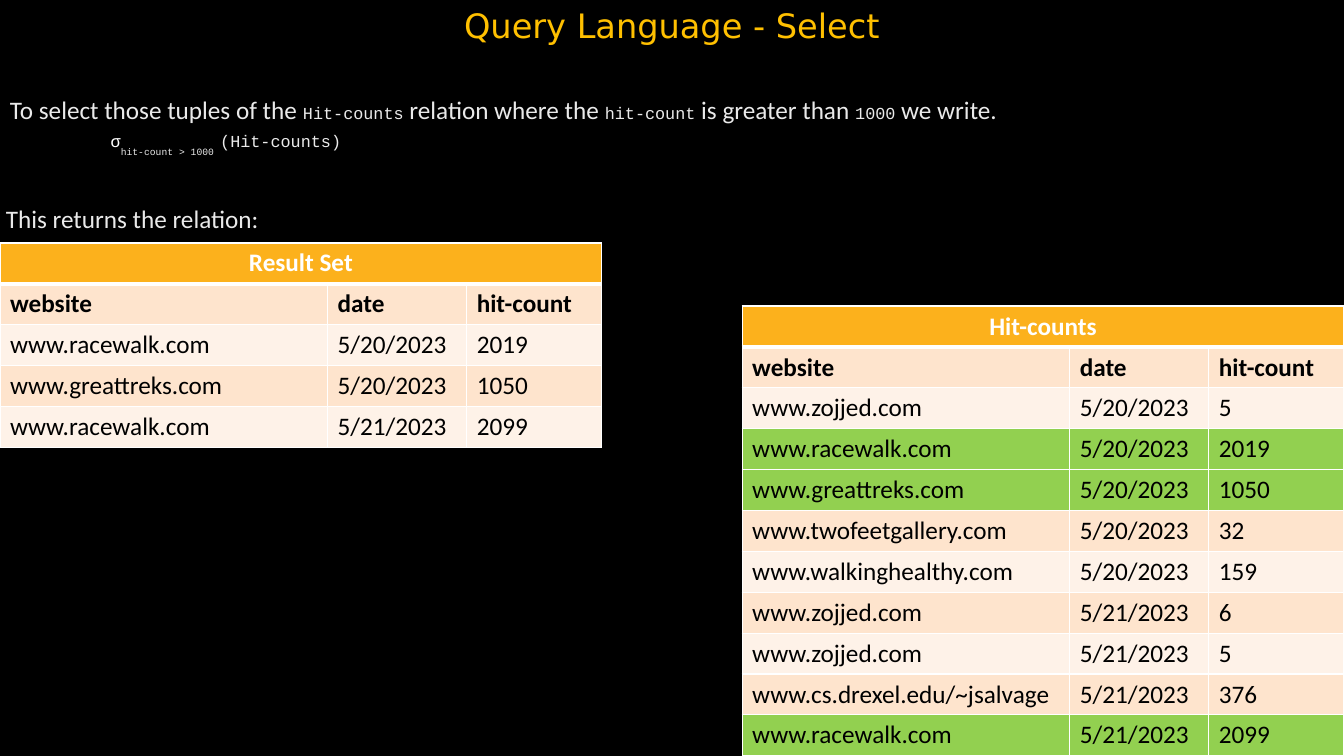
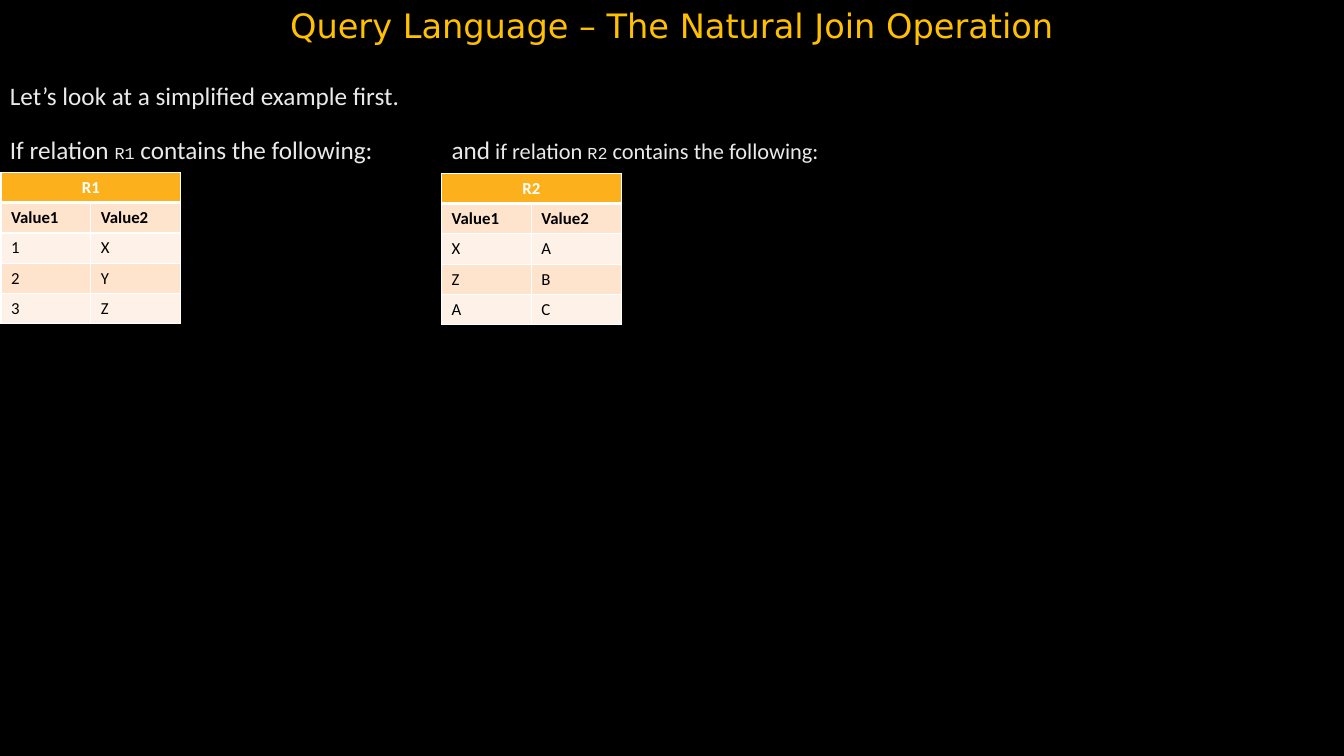
from dataclasses import dataclass

from lxml import etree
from pptx import Presentation
from pptx.dml.color import RGBColor
from pptx.enum.text import MSO_ANCHOR, PP_ALIGN
from pptx.oxml.ns import qn
from pptx.util import Inches, Pt

WIDE, HIGH = Inches(13.33), Inches(7.5)
BLANK = 6
CENTER = PP_ALIGN.CENTER
TOP, BOTTOM = MSO_ANCHOR.TOP, MSO_ANCHOR.BOTTOM

BLACK, WHITE, PALE = "000000", "FFFFFF", "EAEAEA"
GOLD, AMBER, GREEN = "FFC000", "FCB11C", "92D050"
STRIPES = ("FEF2E8", "FEE4CD")
SANS, BODY, MONO = "DejaVu Sans", "Calibri", "Courier New"
LIMIT = 1000


@dataclass(frozen=True)
class Box:
    """Place and size, in percent of the slide's width and height."""
    x: float
    y: float
    w: float
    h: float


@dataclass(frozen=True)
class Run:
    text: str
    size: float = 18
    font: str = BODY
    color: str = PALE
    bold: bool = False
    shift: int = 0


@dataclass(frozen=True)
class Para:
    runs: tuple[Run, ...]
    align: PP_ALIGN | None = None
    before: float = 0
    indent: float = 0


@dataclass(frozen=True)
class Grid:
    """A titled table; x, y, cols and row are percent of the slide."""
    title: str
    heads: tuple[str, ...]
    rows: tuple[tuple[str, ...], ...]
    x: float
    y: float
    cols: tuple[float, ...]
    row: float
    size: float
    marked: tuple[tuple[str, ...], ...] = ()


def across(share: float) -> int:
    return round(WIDE * share / 100)


def down(share: float) -> int:
    return round(HIGH * share / 100)


def ink(code: str) -> RGBColor:
    return RGBColor.from_string(code)


def code(text: str, **style) -> Run:
    return Run(text, 12, MONO, **style)


def fill_para(para, data: Para) -> None:
    if data.align is not None:
        para.alignment = data.align
    if data.before:
        para.space_before = Pt(data.before)
    if data.indent:
        para._p.get_or_add_pPr().set("marL", str(across(data.indent)))
    for item in data.runs:
        run = para.add_run()
        run.text = item.text
        font = run.font
        font.size, font.name, font.bold = Pt(item.size), item.font, item.bold
        font.color.rgb = ink(item.color)
        if item.shift:
            run._r.get_or_add_rPr().set("baseline", str(item.shift * 1000))


def add_text(slide, box: Box, *paras: Para, anchor=TOP) -> None:
    shape = slide.shapes.add_textbox(across(box.x), down(box.y),
                                     across(box.w), down(box.h))
    frame = shape.text_frame
    frame.word_wrap = True
    frame.vertical_anchor = anchor
    for i, data in enumerate(paras):
        fill_para(frame.add_paragraph() if i else frame.paragraphs[0], data)


def edge(cell, top: float, base: float) -> None:
    """Rule the cell in white, with the given top and bottom widths."""
    props = cell._tc.get_or_add_tcPr()
    for side, width in (("L", 1), ("R", 1), ("T", top), ("B", base)):
        line = etree.SubElement(props, qn(f"a:ln{side}"), w=str(Pt(width)))
        solid = etree.SubElement(line, qn("a:solidFill"))
        etree.SubElement(solid, qn("a:srgbClr"), val=WHITE)


def add_grid(slide, grid: Grid) -> None:
    count, span = len(grid.rows) + 2, len(grid.cols)
    table = slide.shapes.add_table(
        count, span, across(grid.x), down(grid.y),
        across(sum(grid.cols)), down(grid.row * count)).table
    table.first_row = table.horz_banding = False
    for col, share in zip(table.columns, grid.cols):
        col.width = across(share)
    for row in table.rows:
        row.height = down(grid.row)

    title = (grid.title,) + ("",) * (span - 1)
    for r, values in enumerate((title, grid.heads) + grid.rows):
        head = r == 0
        shade = GREEN if values in grid.marked else STRIPES[r % 2]
        for c, value in enumerate(values):
            cell = table.cell(r, c)
            edge(cell, 3 if r == 1 else 1, 3 if head else 1)
            cell.fill.solid()
            cell.fill.fore_color.rgb = ink(AMBER if head else shade)
            if value:
                run = Run(value, grid.size, BODY, WHITE if head else BLACK, r < 2)
                fill_para(cell.text_frame.paragraphs[0],
                          Para((run,), CENTER if head else None))
    table.cell(0, 0).merge(table.cell(0, span - 1))


def add_slide(deck, title: str):
    slide = deck.slides.add_slide(deck.slide_layouts[BLANK])
    back = slide.background.fill
    back.solid()
    back.fore_color.rgb = ink(BLACK)
    add_text(slide, Box(0, 0, 100, 6.67),
             Para((Run(title, 24, SANS, GOLD),), CENTER), anchor=BOTTOM)
    return slide


def draw_select(deck) -> None:
    slide = add_slide(deck, "Query Language - Select")
    add_text(
        slide, Box(0, 11.87, 100, 10.93),
        Para((Run("To select those tuples of the "), code("Hit-counts"),
              Run(" relation where the "), code("hit-count"),
              Run(" is greater than "), code("1000"), Run(" we write."))),
        Para((code("σ", color=WHITE), code("hit-count > 1000 ", shift=-50),
              code("(Hit-counts)")), before=4, indent=7.5))

    early, late = "5/20/2023", "5/21/2023"
    hits = (
        ("www.zojjed.com", early, "5"),
        ("www.racewalk.com", early, "2019"),
        ("www.greattreks.com", early, "1050"),
        ("www.twofeetgallery.com", early, "32"),
        ("www.walkinghealthy.com", early, "159"),
        ("www.zojjed.com", late, "6"),
        ("www.zojjed.com", late, "5"),
        ("www.cs.drexel.edu/~jsalvage", late, "376"),
        ("www.racewalk.com", late, "2099"),
    )
    found = tuple(hit for hit in hits if int(hit[2]) > LIMIT)
    heads = ("website", "date", "hit-count")
    cols, row = (24.38, 10.35, 10.05), 5.41
    left, top = 100 - sum(cols), 100 - row * (len(hits) + 2)
    add_grid(slide, Grid("Hit-counts", heads, hits, left, top, cols, row, 18, found))
    add_grid(slide, Grid("Result Set", heads, found, 0, 32.13, cols, row, 18))
    add_text(slide, Box(-0.3, 26.27, 50.34, 5.33),
             Para((Run("This returns the relation:"),)))


def draw_join(deck) -> None:
    slide = add_slide(deck, "Query Language – The Natural Join Operation")
    add_text(
        slide, Box(0, 10, 100, 13.87),
        Para((Run("Let’s look at a simplified example first."),)),
        Para((Run("If relation "), code("R1"), Run(" contains the following:")),
             before=17))

    heads, cols = ("Value1", "Value2"), (6.68, 6.68)
    mid = 32.86
    first = (("1", "X"), ("2", "Y"), ("3", "Z"))
    second = (("X", "A"), ("Z", "B"), ("A", "C"))
    for name, rows, x, y in (("R1", first, 0.08, 22.8), ("R2", second, mid, 22.93)):
        add_grid(slide, Grid(name, heads, rows, x, y, cols, 4, 12))
    add_text(slide, Box(mid, 17.07, 36.91, 5.47),
             Para((Run("and"), Run(" if relation ", 16), code("R2"),
                   Run(" contains the following:", 16))))


def main() -> None:
    deck = Presentation()
    deck.slide_width, deck.slide_height = WIDE, HIGH
    draw_select(deck)
    draw_join(deck)
    deck.save("out.pptx")


if __name__ == "__main__":
    main()
